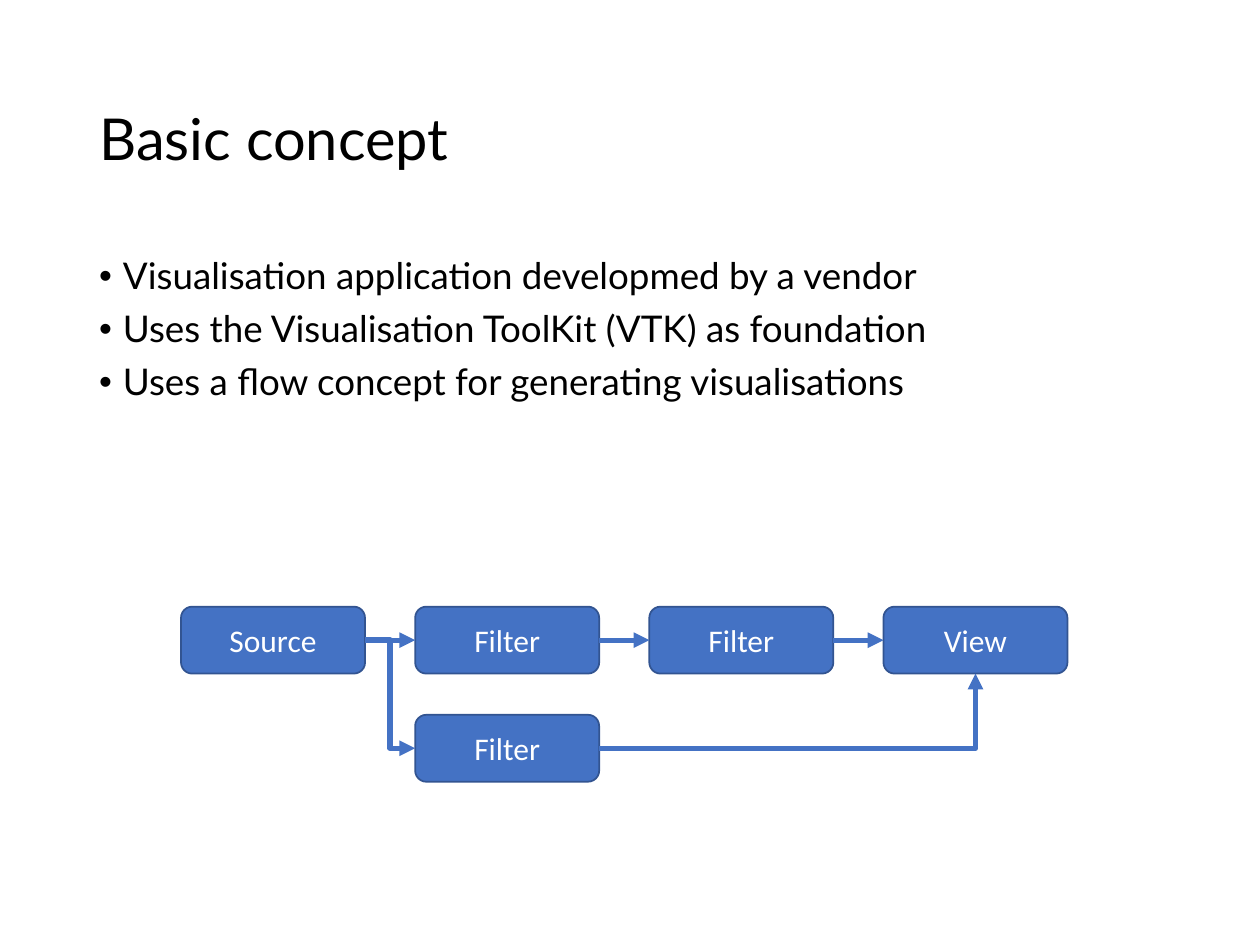
from dataclasses import dataclass

from lxml import etree
from pptx import Presentation, util as u
from pptx.dml.color import RGBColor
from pptx.enum import shapes, text
from pptx.oxml.ns import qn


@dataclass(frozen=True)
class Theme:
    ink: str = "000000"
    white: str = "FFFFFF"
    blue: str = "4472C4"
    outline: str = "325491"
    text_font: str = "Lato"
    node_font: str = "Calibri"
    title_size: float = 33
    body_size: float = 21
    node_size: float = 18


def write(para, words, *, font, size, color, align=text.PP_ALIGN.LEFT, spacing=1.0):
    """Put one formatted run of words into a paragraph."""
    para.alignment = align
    para.line_spacing = spacing
    span = para.add_run()
    span.text = words
    span.font.name = font
    span.font.size = u.Pt(size)
    span.font.color.rgb = RGBColor.from_string(color)


class SlideBuilder:
    def __init__(self, deck, theme):
        self.theme = theme
        self.slide = deck.slides.add_slide(deck.slide_layouts[5])

    def title(self, words, left, top, width, height):
        box = self.slide.shapes.title
        box.left, box.top, box.width, box.height = map(u.Cm, (left, top, width, height))
        frame = box.text_frame
        frame.auto_size = text.MSO_AUTO_SIZE.NONE
        frame.vertical_anchor = text.MSO_ANCHOR.MIDDLE
        write(frame.paragraphs[0], words, font=self.theme.text_font,
              size=self.theme.title_size, color=self.theme.ink, spacing=0.9)

    def bullets(self, lines, left, top, width, height, indent=0.48):
        box = self.slide.shapes.add_textbox(*map(u.Cm, (left, top, width, height)))
        frame = box.text_frame
        frame.word_wrap = True
        for index, line in enumerate(lines):
            para = frame.add_paragraph() if index else frame.paragraphs[0]
            props = para._p.get_or_add_pPr()
            props.set("marL", str(u.Cm(indent)))
            props.set("indent", str(-u.Cm(indent)))
            etree.SubElement(props, qn("a:buFont"), typeface="Arial")
            etree.SubElement(props, qn("a:buChar"), char="•")
            para.space_before = u.Pt(7.5 if index else 0)
            write(para, line, font=self.theme.text_font, size=self.theme.body_size,
                  color=self.theme.ink, spacing=0.9)

    def node(self, words, left, top, width, height):
        box = self.slide.shapes.add_shape(
            shapes.MSO_SHAPE.ROUNDED_RECTANGLE, *map(u.Cm, (left, top, width, height)))
        box.shadow.inherit = False
        box.fill.solid()
        box.fill.fore_color.rgb = RGBColor.from_string(self.theme.blue)
        box.line.color.rgb = RGBColor.from_string(self.theme.outline)
        box.line.width = u.Pt(1)
        box.text_frame.vertical_anchor = text.MSO_ANCHOR.MIDDLE
        write(box.text_frame.paragraphs[0], words, font=self.theme.node_font,
              size=self.theme.node_size, color=self.theme.white,
              align=text.PP_ALIGN.CENTER)
        return box

    def arrow(self, start, end, end_site, preset):
        """Join the right side of one node to a side of another."""
        line = self.slide.shapes.add_connector(shapes.MSO_CONNECTOR.ELBOW, 0, 0, 0, 0)
        line.begin_connect(start, RIGHT)
        line.end_connect(end, end_site)
        line.line.color.rgb = RGBColor.from_string(self.theme.blue)
        line.line.width = u.Pt(3)
        props = line._element.spPr
        props.find(qn("a:prstGeom")).set("prst", preset)
        etree.SubElement(props.find(qn("a:ln")), qn("a:tailEnd"), type="triangle")
        etree.SubElement(props, qn("a:effectLst"))


# Connection sites of a rounded rectangle
LEFT, BOTTOM, RIGHT = 1, 2, 3

# Flow grid, in centimetres
GRID_LEFT, GRID_TOP = 3.65, 12.23
COLUMN_STEP, ROW_STEP = 4.72, 2.18
NODE_WIDTH, NODE_HEIGHT = 3.71, 1.35


def main():
    deck = Presentation()
    deck.slide_width, deck.slide_height = u.Cm(25.4), u.Cm(19.05)
    page = SlideBuilder(deck, Theme())

    # Heading and key points
    page.title("Basic concept", 1.75, 1.02, 21.9, 3.68)
    page.bullets([
        "Visualisation application developmed by a vendor",
        "Uses the Visualisation ToolKit (VTK) as foundation",
        "Uses a flow concept for generating visualisations",
    ], 1.75, 5.08, 21.9, 12.09)

    # Flow nodes: label, column, row
    source, first, second, view, branch = [
        page.node(label, GRID_LEFT + column * COLUMN_STEP, GRID_TOP + row * ROW_STEP,
                  NODE_WIDTH, NODE_HEIGHT)
        for label, column, row in [("Source", 0, 0), ("Filter", 1, 0), ("Filter", 2, 0),
                                   ("View", 3, 0), ("Filter", 1, 1)]
    ]

    # Main flow, then the branch
    for start, end in [(source, first), (first, second), (second, view)]:
        page.arrow(start, end, LEFT, "straightConnector1")
    page.arrow(source, branch, LEFT, "bentConnector3")
    page.arrow(branch, view, BOTTOM, "bentConnector2")

    deck.save("out.pptx")


if __name__ == "__main__":
    main()
